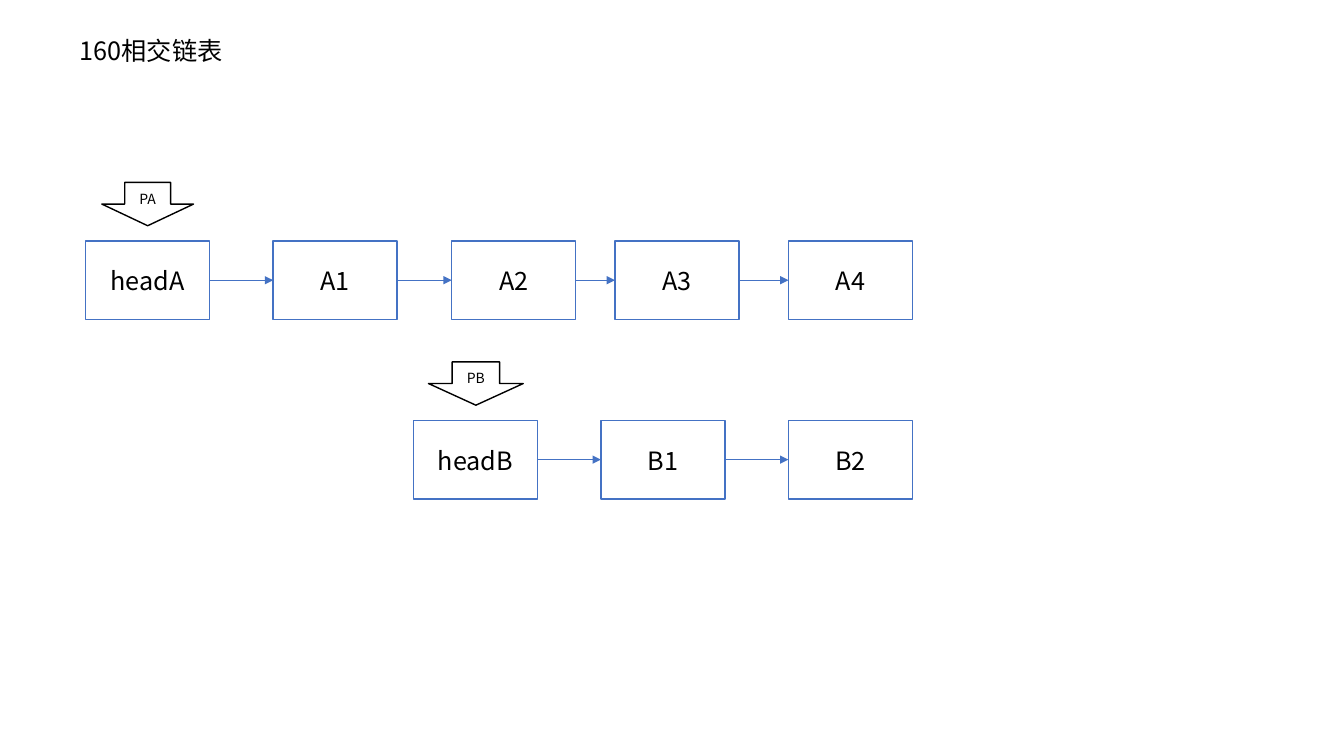
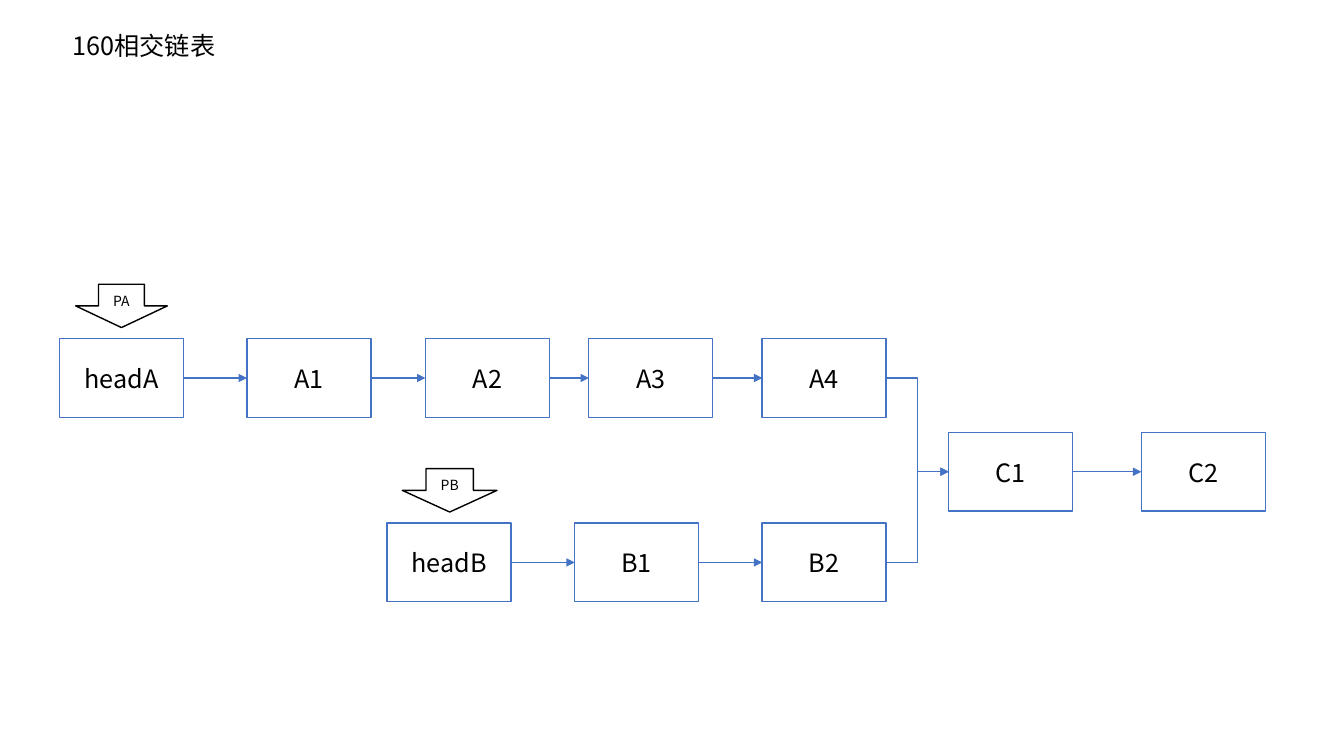
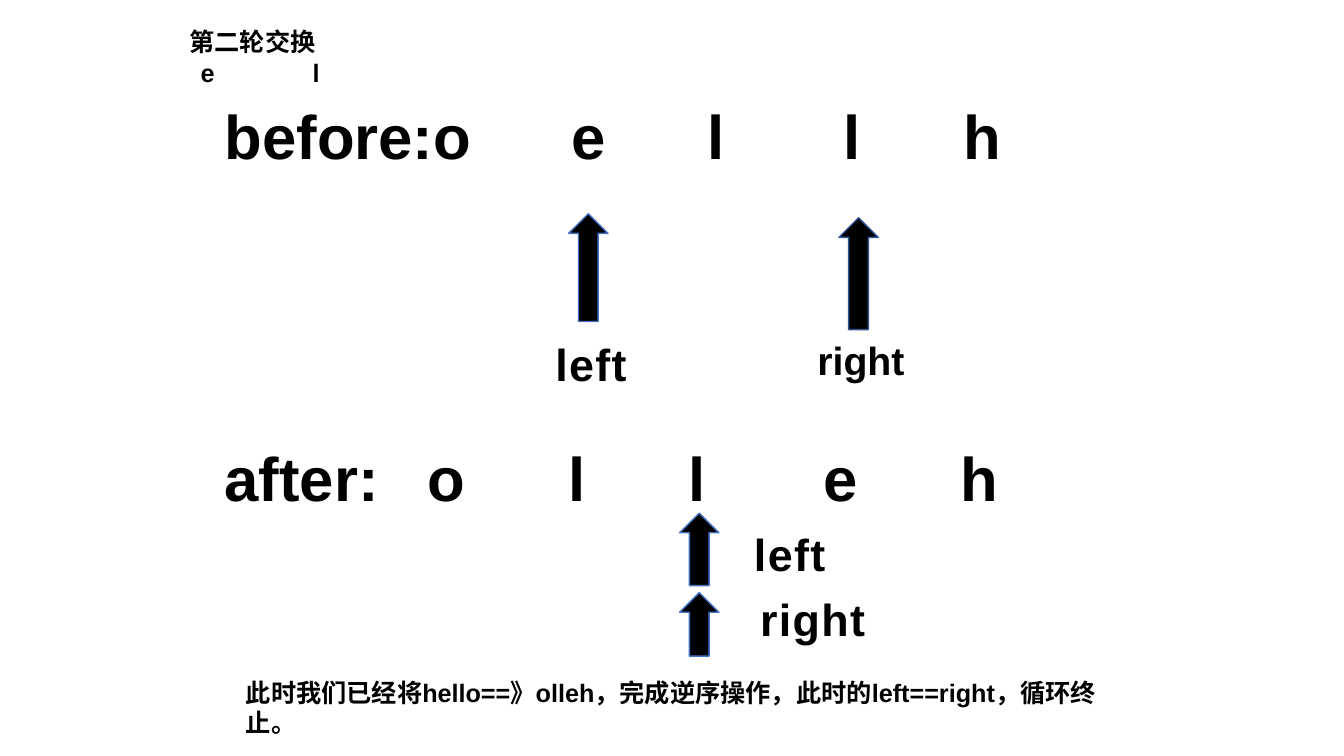
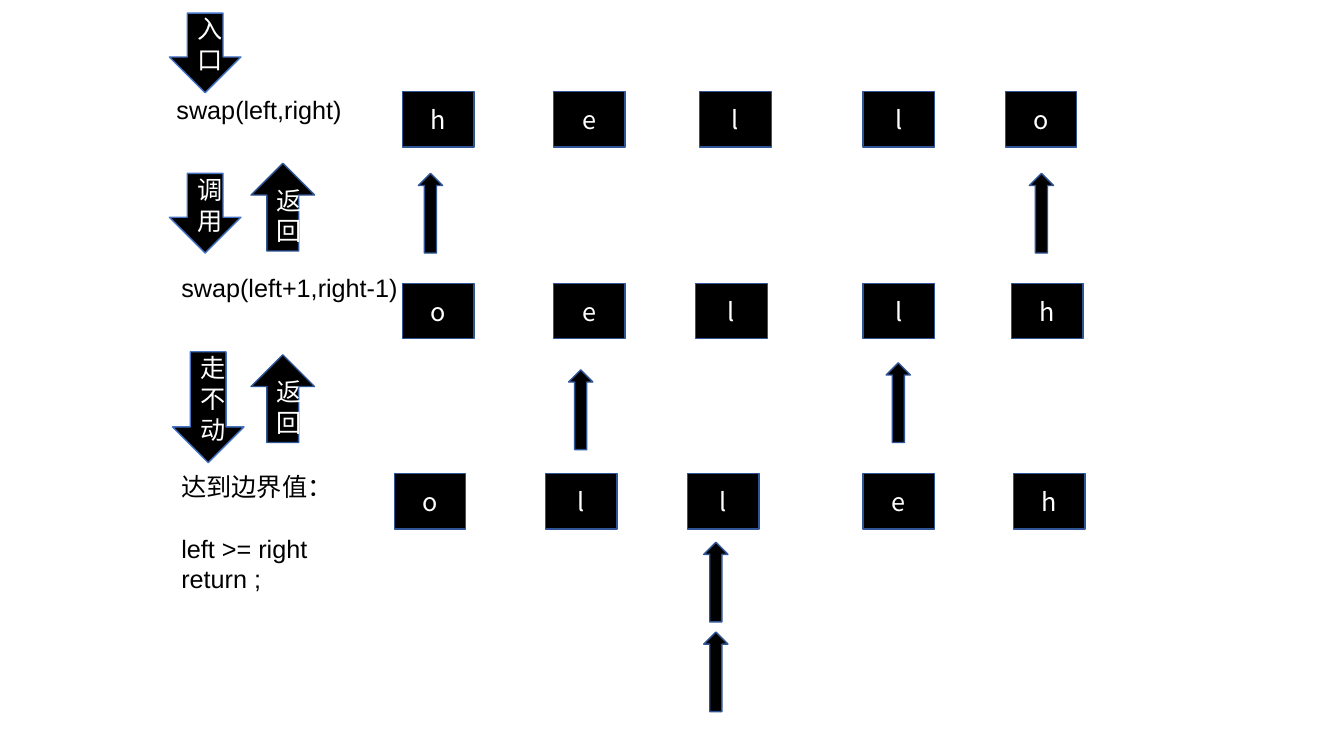
"""Build four slides on intersecting linked lists and reversing a string."""
from itertools import pairwise

from lxml import etree
from pptx import Presentation
from pptx.dml.color import RGBColor
from pptx.enum.shapes import MSO_CONNECTOR, MSO_SHAPE
from pptx.enum.text import MSO_ANCHOR, MSO_AUTO_SIZE, PP_ALIGN
from pptx.oxml.ns import qn
from pptx.util import Inches, Pt

BLACK = RGBColor(0x00, 0x00, 0x00)
WHITE = RGBColor(0xFF, 0xFF, 0xFF)
BLUE = RGBColor(0x44, 0x72, 0xC4)
NAVY = RGBColor(0x2F, 0x55, 0x97)

RECTANGLE = MSO_SHAPE.RECTANGLE
UP = MSO_SHAPE.UP_ARROW
DOWN = MSO_SHAPE.DOWN_ARROW
ELBOW = MSO_CONNECTOR.ELBOW
TOP = MSO_ANCHOR.TOP
MIDDLE = MSO_ANCHOR.MIDDLE
LEFT = PP_ALIGN.LEFT
CENTER = PP_ALIGN.CENTER
FIXED_SIZE = MSO_AUTO_SIZE.NONE

SANS = "Arial"
CJK = "Noto Sans CJK SC"
LEADING = 1.22
TITLE_ONLY = 5
LEFT_SIDE, RIGHT_SIDE = 1, 3

NODE_WIDTH, NODE_HEIGHT = 12.3, 7.8
POINTER_HEIGHT = 4.3
TILE_WIDTH, TILE_HEIGHT = 7.1, 5.5
MARKER_WIDTH, MARKER_HEIGHT = 2.4, 7.9


def grid(*cells):
    """Convert grid columns or rows, ten to the inch, to lengths."""
    return [Inches(round(cell / 10, 2)) for cell in cells]


class Deck:
    """Hold the shared style and the current slide."""

    def __init__(self):
        self.presentation = Presentation()
        self.presentation.slide_width, self.presentation.slide_height = grid(133.33, 75)
        self.slide = None

    def new_slide(self, title, box, **style):
        """Add a slide with its title placed in the given box."""
        layout = self.presentation.slide_layouts[TITLE_ONLY]
        self.slide = self.presentation.slides.add_slide(layout)
        shape = self.slide.shapes.title
        shape.left, shape.top, shape.width, shape.height = grid(*box)
        self.set_text(shape, title, **style)

    def set_text(self, shape, text, size=18, font=SANS, color=BLACK, bold=False,
                 align=LEFT, anchor=TOP, spacing=0, tabs=()):
        """Fill a shape with formatted text."""
        frame = shape.text_frame
        frame.text = text
        frame.word_wrap = True
        frame.auto_size = FIXED_SIZE
        frame.vertical_anchor = anchor
        frame.margin_left, frame.margin_right = grid(1, 1)
        frame.margin_top, frame.margin_bottom = grid(0.5, 0.5)
        for paragraph in frame.paragraphs:
            paragraph.alignment = align
            paragraph.line_spacing = Pt(round(size * LEADING))
            if tabs:
                properties = paragraph._p.get_or_add_pPr()
                stops = etree.SubElement(properties, qn("a:tabLst"))
                for position in grid(*tabs):
                    etree.SubElement(stops, qn("a:tab"), pos=str(position), algn="l")
            for run in paragraph.runs:
                run.font.size = Pt(size)
                run.font.bold = bold
                run.font.color.rgb = color
                run.font.name = font
                properties = run._r.get_or_add_rPr()
                etree.SubElement(properties, qn("a:ea"), typeface=CJK)
                if spacing:
                    properties.set("spc", str(spacing * 100))

    def text(self, text, box, **style):
        """Add a text box."""
        shape = self.slide.shapes.add_textbox(*grid(*box))
        self.set_text(shape, text, **style)
        return shape

    def block(self, kind, box, text="", fill=BLACK, line=NAVY, color=WHITE, size=18):
        """Add a filled preset shape with centred text."""
        shape = self.slide.shapes.add_shape(kind, *grid(*box))
        shape.shadow.inherit = False
        shape.fill.solid()
        shape.fill.fore_color.rgb = fill
        shape.line.color.rgb = line
        shape.line.width = Pt(1)
        if text:
            self.set_text(shape, text, size, CJK, color, align=CENTER, anchor=MIDDLE)
        return shape

    def link(self, source, target):
        """Join the right side of one node to the left side of another."""
        connector = self.slide.shapes.add_connector(ELBOW, 0, 0, 0, 0)
        connector.begin_connect(source, RIGHT_SIDE)
        connector.end_connect(target, LEFT_SIDE)
        connector.line.color.rgb = BLUE
        connector.line.width = Pt(1)
        properties = connector._element.spPr
        outline = properties.find(qn("a:ln"))
        etree.SubElement(outline, qn("a:tailEnd"), type="triangle")
        etree.SubElement(properties, qn("a:effectLst"))

    def chain(self, names, columns, row):
        """Add a row of linked nodes and return them."""
        nodes = [self.block(RECTANGLE, (column, row, NODE_WIDTH, NODE_HEIGHT), name,
                            WHITE, BLUE, BLACK)
                 for name, column in zip(names, columns)]
        for source, target in pairwise(nodes):
            self.link(source, target)
        return nodes

    def pointer(self, name, column, row, width):
        """Add a labelled arrow centred over a node."""
        left = column + (NODE_WIDTH - width) / 2
        self.block(DOWN, (left, row, width, POINTER_HEIGHT), name, WHITE, BLACK, BLACK, 10)

    def two_lists(self, left, row_a, row_b, lift):
        """Add lists A and B with their pointers and return the last nodes."""
        columns_a = [left + step for step in (0, 18.6, 36.3, 52.5, 69.7)]
        columns_b = [left + step for step in (32.5, 51.1, 69.7)]
        list_a = self.chain(("headA", "A1", "A2", "A3", "A4"), columns_a, row_a)
        list_b = self.chain(("headB", "B1", "B2"), columns_b, row_b)
        self.pointer("PA", columns_a[0], row_a - lift, 9.1)
        self.pointer("PB", columns_b[0], row_b - lift, 9.4)
        return list_a[-1], list_b[-1]

    def tiles(self, letters, columns, row):
        """Add a row of letter tiles."""
        for letter, column in zip(letters, columns):
            self.block(RECTANGLE, (column, row, TILE_WIDTH, TILE_HEIGHT), letter)

    def markers(self, *places):
        """Add thin arrows pointing up at tiles."""
        for column, row in places:
            self.block(UP, (column, row, MARKER_WIDTH, MARKER_HEIGHT))


def separate_lists(deck):
    """Show two lists that do not meet."""
    deck.new_slide("160相交链表", (6.9, 2.9, 44.4, 4), font=CJK)
    deck.two_lists(8.5, 23.9, 41.7, 5.8)


def meeting_lists(deck):
    """Show two lists that share a tail."""
    deck.new_slide("160相交链表", (6.2, 2.5, 44.4, 4), font=CJK)
    ends = deck.two_lists(5.9, 33.6, 51.9, 5.4)
    shared = deck.chain(("C1", "C2"), (94.1, 113.2), 42.9)
    for end in ends:
        deck.link(end, shared[0])


def second_swap(deck):
    """Show the word before and after the second swap."""
    deck.new_slide("第二轮交换\n\te\tl", (17.8, 2.1, 15.5, 10.1), bold=True, tabs=(1.1, 12.2))
    for text, row, tabs in (
        ("before:o\te\tl\tl\th", 9.1, (34.4, 47.9, 61.4, 73.3)),
        ("after:\to\tl\tl\te\th", 43, (20.1, 34.1, 46, 59.4, 73)),
    ):
        deck.text(text, (21.3, row, 90.2, 8.4), size=44, bold=True, tabs=tabs)
    for column, row, height, line in (
        (56.4, 21.2, 10.7, BLUE),
        (83.2, 21.6, 11.1, NAVY),
        (67.4, 50.9, 7.2, BLUE),
        (67.4, 58.8, 6.3, BLUE),
    ):
        deck.block(UP, (column, row, 3.9, height), line=line)
    for text, column, row, size, spacing in (
        ("left", 54.1, 32.8, 32, 1),
        ("right", 80.1, 32.8, 28, 0),
        ("left", 73.8, 51.7, 32, 1),
        ("right", 74.4, 58.1, 32, 1),
    ):
        deck.text(text, (column, row, 15.3, 6.4), size=size, bold=True, spacing=spacing)
    deck.text("此时我们已经将hello==》olleh，完成逆序操作，此时的left==right，循环终止。",
              (23.4, 66.6, 87.4, 7.1), bold=True)


def recursive_swap(deck):
    """Show the recursive calls beside the word at each depth."""
    deck.new_slide("swap(left,right)", (16.5, 8.8, 20.8, 4))
    deck.tiles("hello", (39.9, 54.9, 69.4, 85.6, 99.7), 9.1)
    deck.tiles("oellh", (39.9, 54.9, 69, 85.6, 100.3), 28.1)
    deck.tiles("olleh", (39.1, 54.1, 68.2, 85.6, 100.5), 47)
    deck.markers((41.5, 17.2), (102.1, 17.2), (56.4, 36.7), (87.9, 36),
                 (69.8, 53.8), (69.8, 62.7))
    deck.text("swap(left+1,right-1)", (17, 26.5, 24.4, 4))
    boundary = deck.text("达到边界值：\nleft >= right\nreturn ;", (17, 46.2, 16.5, 13.2))
    boundary.text_frame.paragraphs[1].space_before = Pt(22)
    for text, column, row, height in (
        ("入口", 16.8, 1.3, 7.9),
        ("调用", 16.8, 17.2, 7.9),
        ("走不动", 17.1, 34.9, 11),
    ):
        deck.block(DOWN, (column, row, 7.1, height), text, line=BLUE)
    for row in (16.2, 35.2):
        deck.block(UP, (24.9, row, 6.3, 8.7), "返回")


def main():
    """Build and save the presentation."""
    deck = Deck()
    for build in (separate_lists, meeting_lists, second_swap, recursive_swap):
        build(deck)
    deck.presentation.save("out.pptx")


if __name__ == "__main__":
    main()
